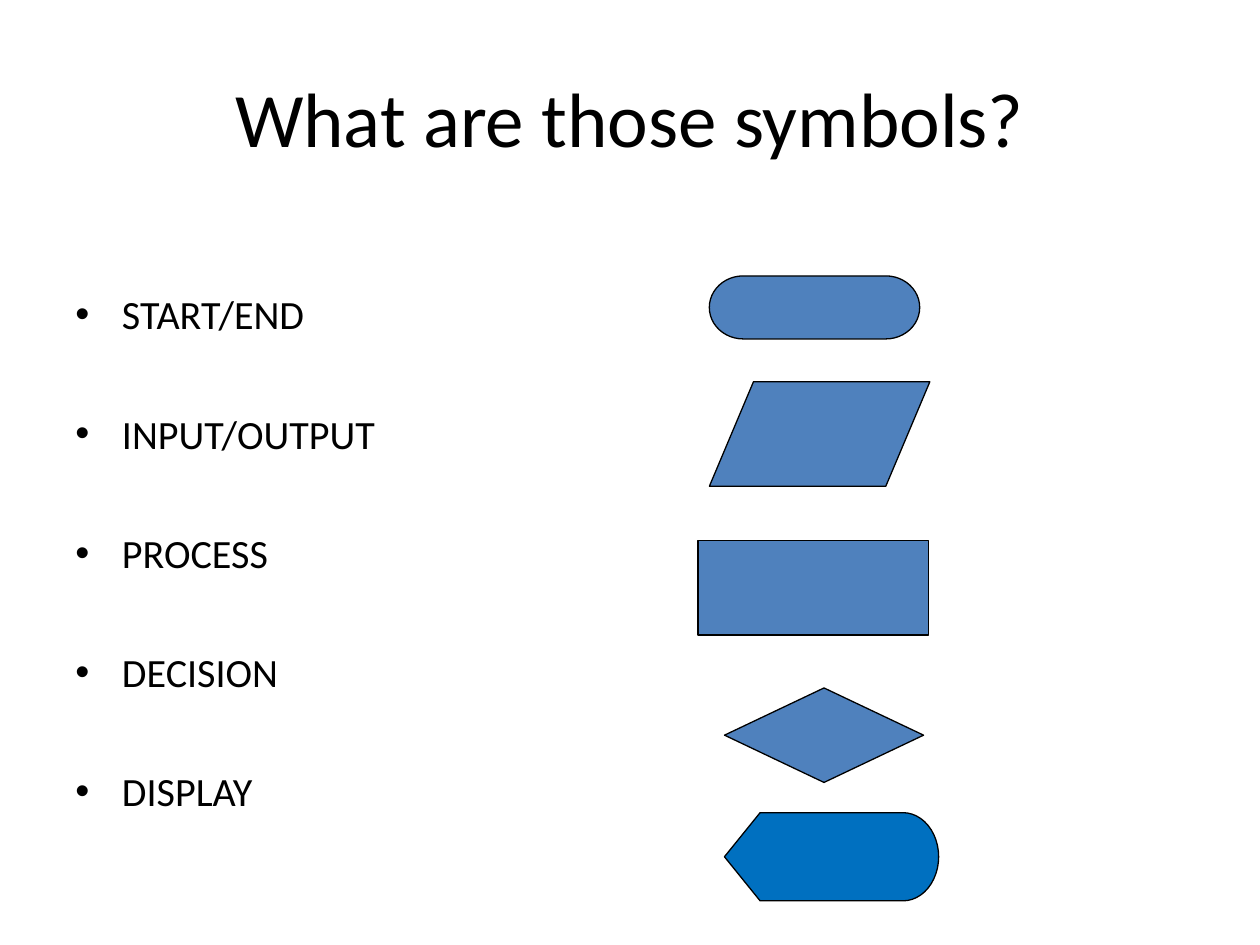
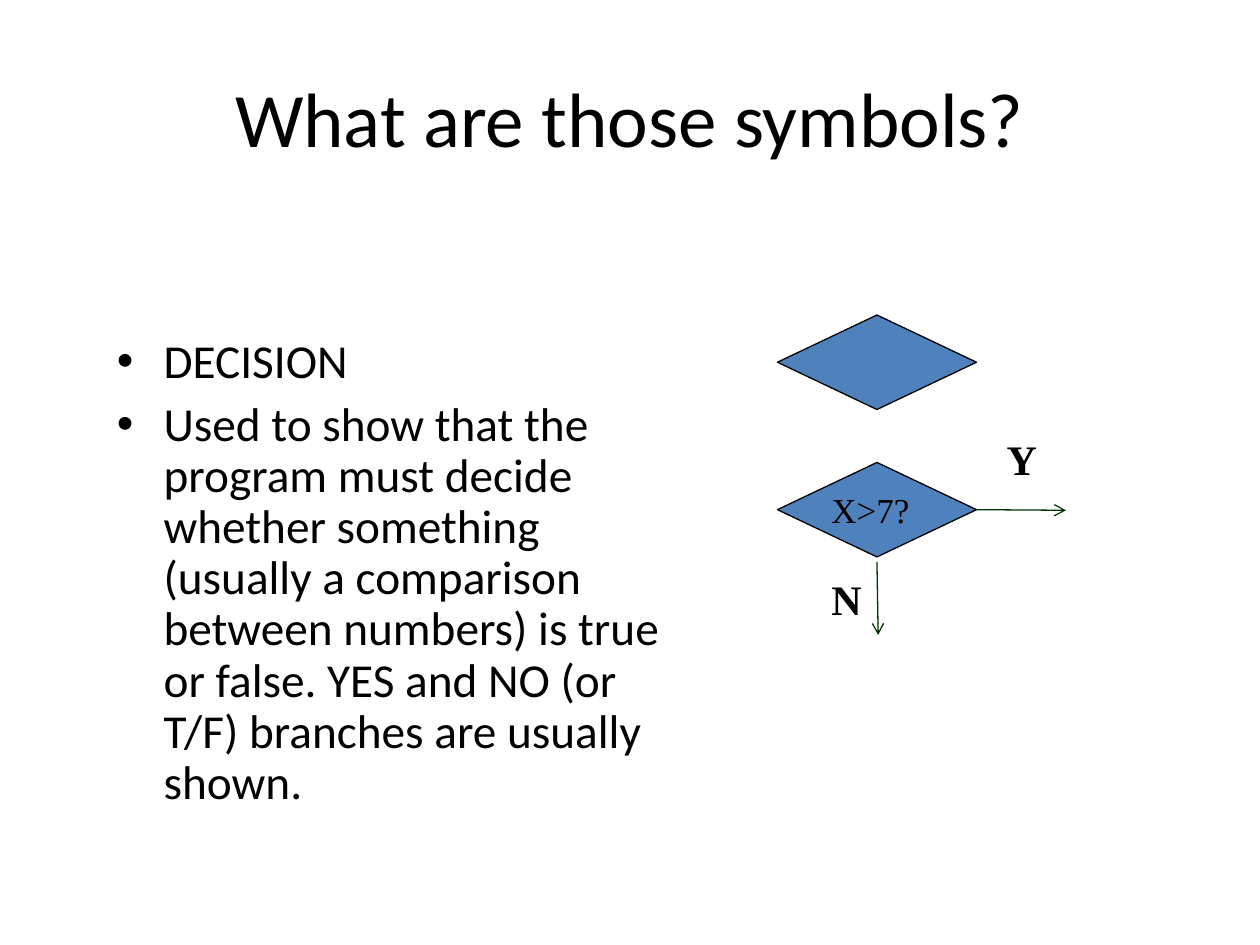
from lxml import etree
from pptx import Presentation
from pptx.dml.color import RGBColor
from pptx.enum.shapes import MSO_CONNECTOR as LINE, MSO_SHAPE as SHAPE
from pptx.enum.text import MSO_ANCHOR as ANCHOR, PP_ALIGN as ALIGN
from pptx.oxml.ns import qn
from pptx.util import Inches, Pt

BLACK = RGBColor(0x00, 0x00, 0x00)
BLUE = RGBColor(0x4F, 0x81, 0xBD)
BRIGHT = RGBColor(0x00, 0x70, 0xC0)
GREEN = RGBColor(0x00, 0x33, 0x00)
SANS, SERIF = "Calibri", "Times New Roman"


def write(para, text, size, face, bold=False):
    run = para.add_run()
    run.text = text
    font = run.font
    font.size, font.name, font.bold = Pt(size), face, bold
    font.color.rgb = BLACK


def draw(slide, kind, box, fill=BLUE):
    """Add a flowchart symbol with a thin black outline."""
    shape = slide.shapes.add_shape(kind, *map(Inches, box))
    shape.shadow.inherit = False
    shape.fill.solid()
    shape.fill.fore_color.rgb = fill
    shape.line.color.rgb = BLACK
    shape.line.width = Pt(0.75)
    return shape


deck = Presentation()
deck.slide_width, deck.slide_height = Inches(10), Inches(7.5)

# Titles and bullet lists: box, top inset, size, line spacing, gap, items
lists = [
    ((0.5, 1.75, 9, 4.95), 0.55, 22.9, 1.0, 40.6,
     ["START/END", "INPUT/OUTPUT", "PROCESS", "DECISION", "DISPLAY"]),
    ((0.83, 2.08, 4.52, 4.42), 0.6, 27, 0.9, 6.8,
     ["DECISION",
      "Used to show that the program must decide whether something "
      "(usually a comparison between numbers) is true or false. "
      "YES and NO (or T/F) branches are usually shown."]),
]
slides = []
for box, inset, size, pitch, gap, items in lists:
    slide = deck.slides.add_slide(deck.slide_layouts[5])
    slides.append(slide)
    title = slide.shapes.title
    title.left, title.top = Inches(0.5), Inches(0.3)
    title.width, title.height = Inches(9), Inches(1.25)
    title.text_frame.vertical_anchor = ANCHOR.MIDDLE
    para = title.text_frame.paragraphs[0]
    para.alignment = ALIGN.CENTER
    write(para, "What are those symbols?", 44, SANS)

    frame = slide.shapes.add_textbox(*map(Inches, box)).text_frame
    frame.word_wrap = True
    frame.margin_top, frame.margin_right = Inches(inset), Inches(0.05)
    for i, item in enumerate(items):
        para = frame.add_paragraph() if i else frame.paragraphs[0]
        para.line_spacing = pitch
        para.space_before = Pt(gap if i else 0)
        props = para._p.get_or_add_pPr()
        props.set("marL", str(Inches(0.37)))
        props.set("indent", str(-Inches(0.37)))
        etree.SubElement(props, qn("a:buFont"), typeface="Arial")
        etree.SubElement(props, qn("a:buChar"), char="•")
        write(para, item, size, SANS)

# Slide 1: one symbol for each term
first, second = slides
draw(first, SHAPE.FLOWCHART_DATA, (5.63, 3.03, 1.75, 0.83))
draw(first, SHAPE.FLOWCHART_PROCESS, (5.54, 4.29, 1.83, 0.75))
draw(first, SHAPE.FLOWCHART_DECISION, (5.75, 5.46, 1.58, 0.75))
draw(first, SHAPE.FLOWCHART_TERMINATOR, (5.63, 2.19, 1.67, 0.5))
draw(first, SHAPE.FLOWCHART_DISPLAY, (5.75, 6.45, 1.7, 0.7), BRIGHT)

# Slide 2: the decision symbol, empty and in use
for top in (2.5, 3.67):
    choice = draw(second, SHAPE.FLOWCHART_DECISION, (6.17, top, 1.58, 0.75))

for text, box, size, bold in [
    ("Y", (7.89, 3.39, 0.44, 0.5), 24, True),
    ("N", (6.5, 4.5, 0.44, 0.5), 24, True),
    ("X>7?", (6.5, 3.83, 0.82, 0.44), 20, False),
]:
    frame = second.shapes.add_textbox(*map(Inches, box)).text_frame
    frame.word_wrap = False
    write(frame.paragraphs[0], text, size, SERIF, bold)

for ends, site in [((6.96, 4.46, 6.97, 5.04), None),
                   ((7.75, 4.04, 8.46, 4.05), 3)]:
    arrow = second.shapes.add_connector(LINE.STRAIGHT, *map(Inches, ends))
    if site is not None:
        arrow.begin_connect(choice, site)
    arrow.line.color.rgb = GREEN
    arrow.line.width = Pt(0.75)
    etree.SubElement(arrow.line._get_or_add_ln(), qn("a:tailEnd"), type="arrow")
    etree.SubElement(arrow._element.spPr, qn("a:effectLst"))

deck.save("out.pptx")
